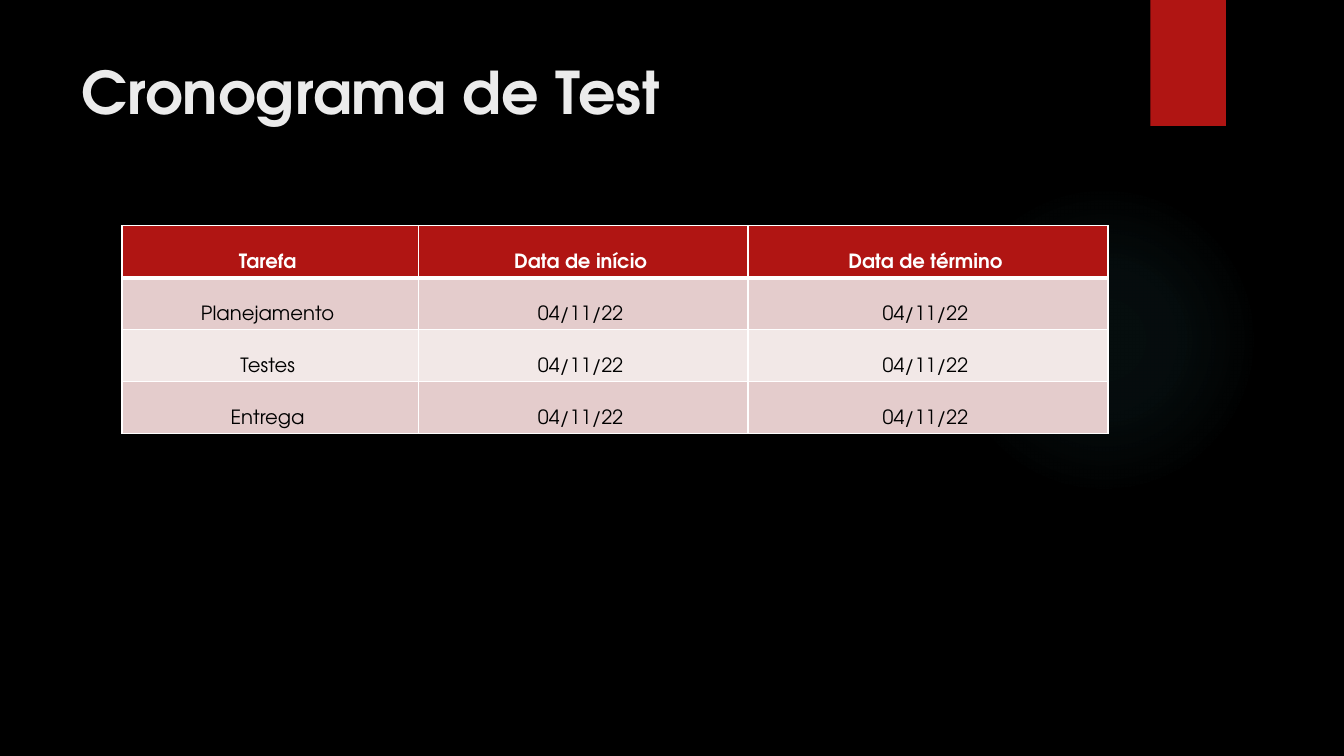
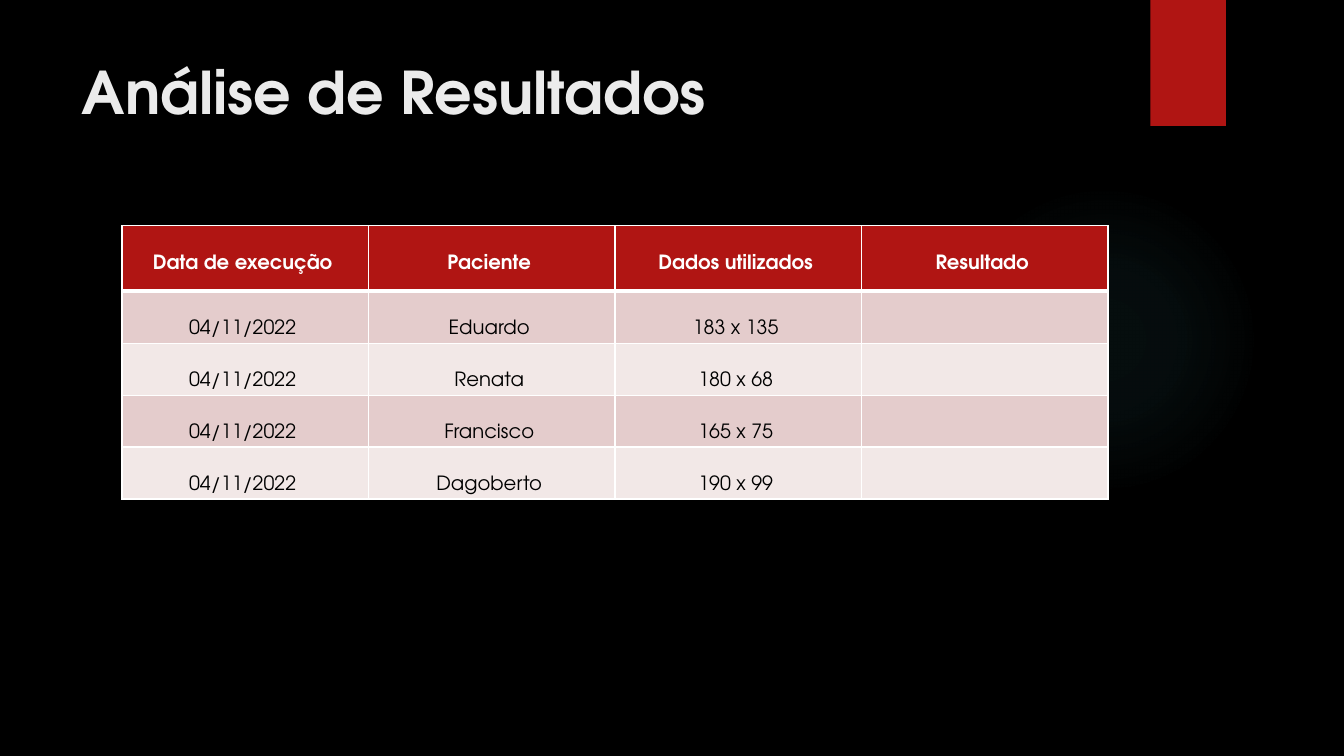
from pptx import Presentation
from pptx.dml.color import RGBColor
from pptx.enum.shapes import MSO_SHAPE as Kind
from pptx.enum.text import MSO_ANCHOR as Anchor, PP_ALIGN as Align
from pptx.oxml import parse_xml
from pptx.oxml.ns import nsdecls, qn
from pptx.util import Inches, Pt

FONT = "TeX Gyre Adventor"
BLACK, WHITE, PALE = "000000", "FFFFFF", "EBEBEB"
RED, ROSE, BLUSH, TEAL = "B01513", "E4CCCC", "F2E8E7", "50B9C1"
LEFT, TOP, WIDTH, ROW = 1.21, 2.24, 9.78, 0.515

PLAN = [
    ("Tarefa", "Data de início", "Data de término"),
    ("Planejamento", "04/11/22", "04/11/22"),
    ("Testes", "04/11/22", "04/11/22"),
    ("Entrega", "04/11/22", "04/11/22"),
]
RESULTS = [
    ("Data de execução", "Paciente", "Dados utilizados", "Resultado"),
    ("04/11/2022", "Eduardo", "183 x 135", ""),
    ("04/11/2022", "Renata", "180 x 68", ""),
    ("04/11/2022", "Francisco", "165 x 75", ""),
    ("04/11/2022", "Dagoberto", "190 x 99", ""),
]


def paint(fill, color):
    fill.solid()
    fill.fore_color.rgb = RGBColor.from_string(color)


def write(frame, text, size, color, bold, align):
    para = frame.paragraphs[0]
    para.alignment = align
    run = para.add_run()
    run.text = text
    font = run.font
    font.name, font.size, font.bold = FONT, Pt(size), bold
    font.color.rgb = RGBColor.from_string(color)


def add_plain(slide, kind, left, top, width, height):
    """Add a preset shape without line or shadow."""
    shape = slide.shapes.add_shape(
        kind, Inches(left), Inches(top), Inches(width), Inches(height))
    shape.shadow.inherit = False
    shape.line.fill.background()
    return shape


def add_glow(slide):
    glow = add_plain(slide, Kind.OVAL, 9.41, 1.83, 3.08, 3.08)
    glow.fill.background()
    stops = "".join(
        f'<a:gs pos="{pos * 1000}"><a:srgbClr val="{TEAL}">'
        f'<a:alpha val="{alpha * 1000}"/></a:srgbClr></a:gs>'
        for pos, alpha in ((0, 7), (36, 6), (69, 0), (100, 0)))
    props = glow.element.spPr
    props.replace(props.find(qn("a:noFill")), parse_xml(
        f'<a:gradFill {nsdecls("a")}><a:gsLst>{stops}</a:gsLst>'
        '<a:path path="circle"><a:fillToRect l="50000" t="50000" '
        'r="50000" b="50000"/></a:path></a:gradFill>'))
    return glow


def add_ribbon(slide):
    ribbon = add_plain(slide, Kind.RECTANGLE, 11.41, 0, 0.75, 1.25)
    paint(ribbon.fill, RED)
    ribbon.element.spPr.find(qn("a:effectLst")).append(parse_xml(
        f'<a:outerShdw {nsdecls("a")} blurRad="{Pt(3)}" dist="{Pt(2)}" '
        f'dir="5400000" rotWithShape="0"><a:srgbClr val="{BLACK}">'
        '<a:alpha val="45000"/></a:srgbClr></a:outerShdw>'))
    return ribbon


def set_layout(layout):
    """Give the layout its background and title place."""
    paint(layout.background.fill, BLACK)
    title = next(p for p in layout.placeholders
                 if p.placeholder_format.idx == 0)
    title.left, title.top = Inches(0.71), Inches(0.5)
    title.width, title.height = Inches(10.29), Inches(1.53)
    title.text_frame.vertical_anchor = Anchor.TOP


def add_decor(layout, slide):
    """Draw the shared shapes and move them to the layout."""
    for draw in (add_glow, add_ribbon):
        layout.shapes.element.append(draw(slide).element)


def add_page(deck, layout, title):
    slide = deck.slides.add_slide(layout)
    write(slide.shapes.title.text_frame, title, 42, PALE, True, Align.LEFT)
    return slide


def set_edges(cell, top, bottom):
    """Draw white borders; top and bottom are widths in points."""
    props = cell._tc.get_or_add_tcPr()
    edges = (("L", 1), ("R", 1), ("T", top), ("B", bottom))
    for spot, (side, width) in enumerate(edges):
        props.insert(spot, parse_xml(
            f'<a:ln{side} {nsdecls("a")} w="{Pt(width)}"><a:solidFill>'
            f'<a:srgbClr val="{WHITE}"/></a:solidFill></a:ln{side}>'))


def fill_cell(cell, text, row, drop):
    """Format one cell; drop is the gap below its text in inches."""
    head = row == 0
    paint(cell.fill, RED if head else ROSE if row % 2 else BLUSH)
    set_edges(cell, 3 if row == 1 else 1, 3 if head else 1)
    cell.vertical_anchor = Anchor.BOTTOM
    cell.margin_bottom = Inches(drop)
    cell.margin_right = Inches(0.15)
    if text:
        write(cell.text_frame, text, 14, WHITE if head else BLACK,
              head, Align.CENTER)


def add_grid(slide, rows, widths, head=ROW):
    heights = [head] + [ROW] * (len(rows) - 1)
    table = slide.shapes.add_table(
        len(rows), len(widths), Inches(LEFT), Inches(TOP),
        Inches(WIDTH), Inches(sum(heights))).table
    for col, width in zip(table.columns, widths):
        col.width = Inches(width)
    for r, (texts, height) in enumerate(zip(rows, heights)):
        table.rows[r].height = Inches(height)
        for c, text in enumerate(texts):
            fill_cell(table.cell(r, c), text, r, 0.05 + height - ROW)


def main():
    deck = Presentation()
    deck.slide_width, deck.slide_height = Inches(13.33), Inches(7.5)
    layout = deck.slide_layouts[5]
    set_layout(layout)

    plan = add_page(deck, layout, "Cronograma de Test")
    add_decor(layout, plan)
    add_grid(plan, PLAN, (2.94, 3.27, 3.57))

    results = add_page(deck, layout, "Análise de Resultados")
    add_grid(results, RESULTS, [WIDTH / 4] * 4, head=0.65)

    deck.save("out.pptx")


if __name__ == "__main__":
    main()
